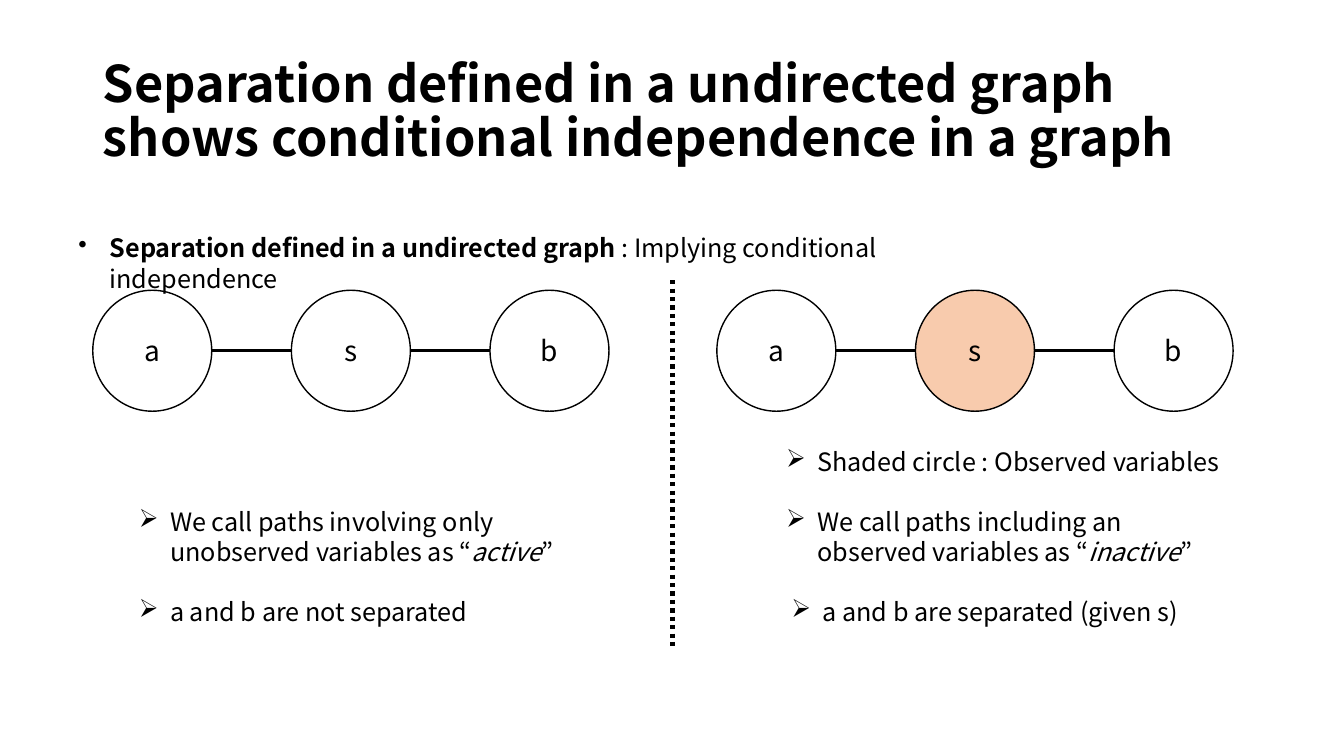
import pptx
import pptx.dml.color
import pptx.enum.dml
import pptx.enum.shapes
import pptx.enum.text
import pptx.oxml.ns
import pptx.util
from lxml import etree

Inches, Pt = pptx.util.Inches, pptx.util.Pt
ANCHOR = pptx.enum.text.MSO_ANCHOR
ALIGN = pptx.enum.text.PP_ALIGN
FONT = "Noto Sans CJK KR"
COLORS = {"ink": "000000", "observed": "F8CBAD"}
CIRCLE_W, CIRCLE_H = 1.18, 1.2
CIRCLE_STEP = 1.97
INDENT = 0.31


def rgb(name):
    return pptx.dml.color.RGBColor.from_string(COLORS[name])


def add_text(p, text, size=18, bold=False, italic=False):
    r = p.add_run()
    r.text = text
    r.font.name = FONT
    r.font.size = Pt(size)
    r.font.bold = bold
    r.font.italic = italic
    r.font.color.rgb = rgb("ink")
    ea = etree.SubElement(r.font._element, pptx.oxml.ns.qn("a:ea"))
    ea.set("typeface", FONT)


def add_title(slide, text, left, top, width, height):
    sp = slide.shapes.title
    sp.left, sp.top, sp.width, sp.height = map(Inches, (left, top, width, height))
    tf = sp.text_frame
    tf.auto_size = pptx.enum.text.MSO_AUTO_SIZE.NONE
    tf.word_wrap = True
    tf.vertical_anchor = ANCHOR.MIDDLE
    p = tf.paragraphs[0]
    p.alignment = ALIGN.LEFT
    p.line_spacing = 0.9
    add_text(p, text, size=36, bold=True)


def add_bullet(slide, runs, left, top, width=4.66, height=0.4, bullet="➢"):
    """Add one bulleted paragraph from (text, format) pairs."""
    sp = slide.shapes.add_textbox(*map(Inches, (left, top, width, height)))
    tf = sp.text_frame
    tf.word_wrap = True
    tf.auto_size = pptx.enum.text.MSO_AUTO_SIZE.SHAPE_TO_FIT_TEXT
    p = tf.paragraphs[0]
    pPr = p._p.get_or_add_pPr()
    pPr.set("marL", str(Inches(INDENT)))
    pPr.set("indent", str(-Inches(INDENT)))
    etree.SubElement(pPr, pptx.oxml.ns.qn("a:buChar")).set("char", bullet)
    for text, style in runs:
        add_text(p, text, **style)


def add_line(slide, x1, y1, x2, y2, width, dash=None):
    line = slide.shapes.add_connector(
        pptx.enum.shapes.MSO_CONNECTOR.STRAIGHT, *map(Inches, (x1, y1, x2, y2)))
    line.line.color.rgb = rgb("ink")
    line.line.width = Pt(width)
    if dash:
        line.line.dash_style = dash
    etree.SubElement(line._element.spPr, pptx.oxml.ns.qn("a:effectLst"))


def add_node(slide, label, left, top, fill=None):
    sp = slide.shapes.add_shape(
        pptx.enum.shapes.MSO_SHAPE.OVAL,
        *map(Inches, (left, top, CIRCLE_W, CIRCLE_H)))
    sp.shadow.inherit = False
    if fill:
        sp.fill.solid()
        sp.fill.fore_color.rgb = rgb(fill)
    else:
        sp.fill.background()
    sp.line.color.rgb = rgb("ink")
    sp.line.width = Pt(1)
    tf = sp.text_frame
    tf.vertical_anchor = ANCHOR.MIDDLE
    p = tf.paragraphs[0]
    p.alignment = ALIGN.CENTER
    add_text(p, label, size=20)


def add_chain(slide, left, top, observed=""):
    """Draw the graph a - s - b, shading the observed nodes."""
    for i, label in enumerate("asb"):
        x = left + i * CIRCLE_STEP
        add_node(slide, label, x, top, "observed" if label in observed else None)
        if i:
            y = top + CIRCLE_H / 2
            add_line(slide, x - CIRCLE_STEP + CIRCLE_W, y, x, y, 2.25)


def add_path_rule(slide, left, top, text, term):
    add_bullet(slide, [(text + " “", {}), (term, {"italic": True}), ("”", {})],
               left, top, height=0.71)


def add_unobserved_case(slide, left, top):
    add_chain(slide, left, top)
    add_path_rule(slide, left + 0.36, top + 2.09,
                  "We call paths involving only unobserved variables as", "active")
    add_bullet(slide, [("a and b are not separated", {})], left + 0.36, top + 2.99)


def add_observed_case(slide, left, top):
    add_chain(slide, left, top, observed="s")
    add_bullet(slide, [("Shaded circle : Observed variables", {})],
               left + 0.59, top + 1.5)
    add_path_rule(slide, left + 0.59, top + 2.09,
                  "We call paths including an observed variables as", "inactive")
    add_bullet(slide, [("a and b are separated (given s)", {})],
               left + 0.64, top + 2.99)


def main():
    prs = pptx.Presentation()
    prs.slide_width, prs.slide_height = Inches(13.33), Inches(7.5)
    slide = prs.slides.add_slide(prs.slide_layouts.get_by_name("Title Only"))
    add_title(slide, "Separation defined in a undirected graph shows "
              "conditional independence in a graph", 0.92, 0.4, 11.5, 1.45)
    add_bullet(slide, [("Separation defined in a undirected graph", {"bold": True}),
                       (" : Implying conditional independence", {})],
               0.68, 2.26, width=9.76, bullet="•")
    add_unobserved_case(slide, 0.92, 2.88)
    add_line(slide, 6.67, 2.78, 6.67, 6.41, 3,
             dash=pptx.enum.dml.MSO_LINE.ROUND_DOT)
    add_observed_case(slide, 7.11, 2.88)
    prs.save("out.pptx")


if __name__ == "__main__":
    main()
